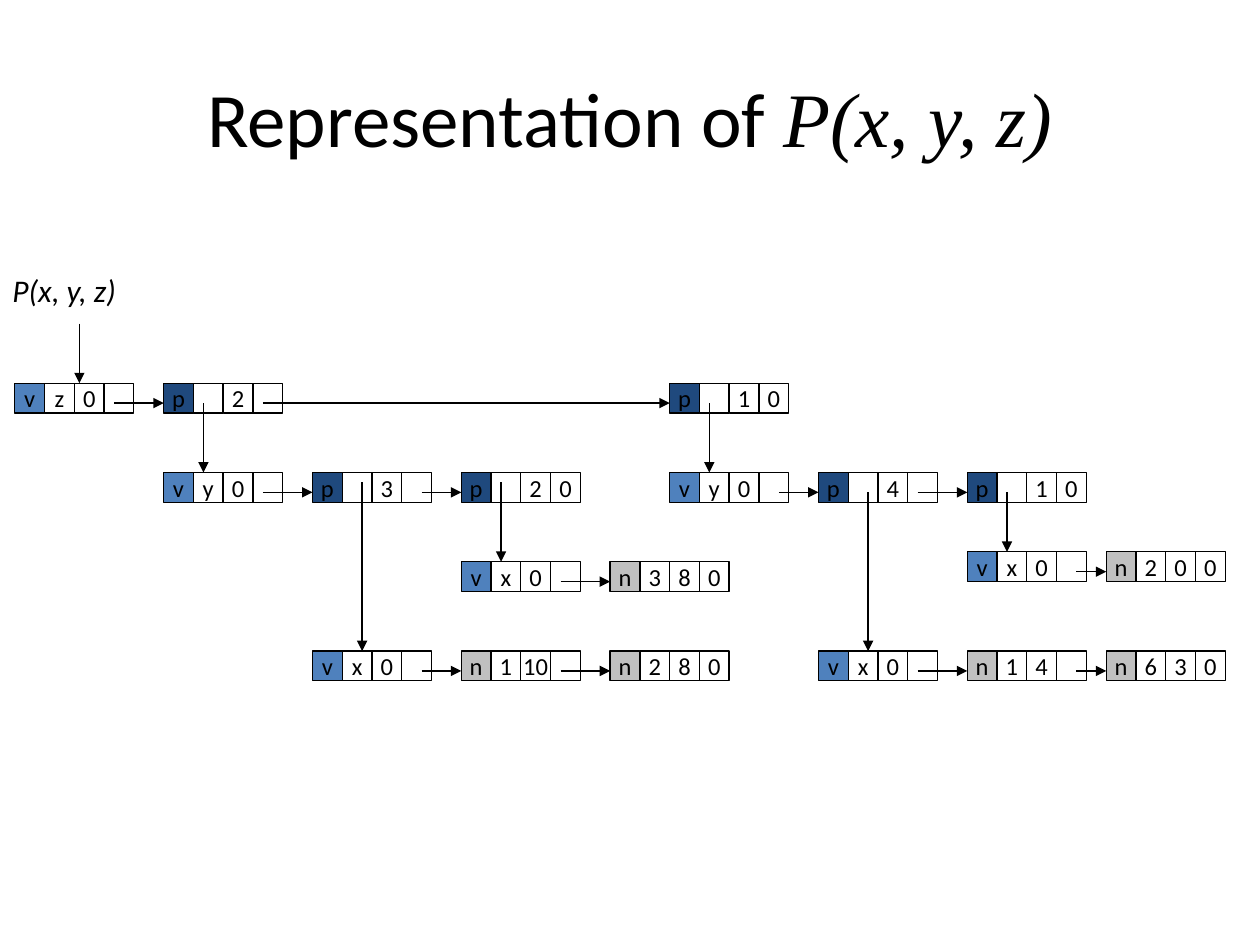
from lxml.etree import SubElement
from pptx import Presentation
from pptx.dml.color import RGBColor
from pptx.enum.shapes import MSO_CONNECTOR as Connector, MSO_SHAPE as Shape
from pptx.enum.text import MSO_ANCHOR as Anchor, PP_ALIGN as Align
from pptx.oxml.ns import qn
from pptx.util import Inches, Mm, Pt

BLACK = RGBColor(0x00, 0x00, 0x00)
BLUE = RGBColor(0x4F, 0x81, 0xBD)
NAVY = RGBColor(0x1F, 0x49, 0x7D)
SILVER = RGBColor(0xC0, 0xC0, 0xC0)
TAG_FILLS = {"v": BLUE, "p": NAVY, "n": SILVER}

STEP = 2
CELL = 3
LEFT, TOP = 3, 77.25


class Diagram:
    body_font = "Calibri"
    math_font = "Times New Roman"
    line_width = Pt(0.75)

    def __init__(self, deck):
        self.width, self.height = deck.slide_width, deck.slide_height
        self.page = deck.slides.add_slide(deck.slide_layouts[5])

    def point(self, column, row):
        return Mm(LEFT + column * STEP), Mm(TOP + row * STEP)

    def share(self, left, top, width, height):
        return (int(left * self.width), int(top * self.height),
                int(width * self.width), int(height * self.height))

    def style(self, font, size, italic=None):
        font.name = self.body_font
        font.size = Pt(size)
        font.italic = italic
        font.color.rgb = BLACK

    def title(self, words, formula):
        box = self.page.shapes.title
        box.left, box.top, box.width, box.height = self.share(0.05, 0.04, 0.9, 1 / 6)
        box.text_frame.vertical_anchor = Anchor.MIDDLE
        para = box.text_frame.paragraphs[0]
        para.alignment = Align.CENTER
        for text in (words, formula):
            span = para.add_run()
            span.text = text
            self.style(span.font, 44)
        span.font.name = self.math_font
        span.font.italic = True

    def label(self, text, *area):
        box = self.page.shapes.add_textbox(*self.share(*area))
        box.text_frame.word_wrap = True
        para = box.text_frame.paragraphs[0]
        para.text = text
        self.style(para.font, 18, italic=True)

    def cell(self, column, row, text, fill):
        side = Mm(CELL * STEP)
        box = self.page.shapes.add_shape(
            Shape.RECTANGLE, *self.point(column, row), side, side)
        box.shadow.inherit = False
        box.line.color.rgb = BLACK
        box.line.width = self.line_width
        if fill is None:
            box.fill.background()
        else:
            box.fill.solid()
            box.fill.fore_color.rgb = fill
        if text:
            frame = box.text_frame
            frame.word_wrap = False
            frame.vertical_anchor = Anchor.MIDDLE
            frame.margin_left = frame.margin_right = 0
            frame.margin_top = frame.margin_bottom = 0
            para = frame.paragraphs[0]
            para.text = text
            para.alignment = Align.CENTER
            self.style(para.font, 14)

    def node(self, column, row, *fields):
        for index, text in enumerate(fields):
            fill = TAG_FILLS[text] if index == 0 else None
            self.cell(column + index * CELL, row, text, fill)

    def arrow(self, start, end):
        link = self.page.shapes.add_connector(
            Connector.STRAIGHT, *self.point(*start), *self.point(*end))
        link.line.color.rgb = BLACK
        link.line.width = self.line_width
        SubElement(link.line._get_or_add_ln(), qn("a:tailEnd"), type="triangle")
        SubElement(link._element.spPr, qn("a:effectLst"))


NODES = [
    (0, 0, "v", "z", "0", ""),
    (15, 0, "p", "", "2", ""),
    (66, 0, "p", "", "1", "0"),
    (15, 9, "v", "y", "0", ""),
    (30, 9, "p", "", "3", ""),
    (45, 9, "p", "", "2", "0"),
    (66, 9, "v", "y", "0", ""),
    (81, 9, "p", "", "4", ""),
    (96, 9, "p", "", "1", "0"),
    (45, 18, "v", "x", "0", ""),
    (60, 18, "n", "3", "8", "0"),
    (96, 17, "v", "x", "0", ""),
    (110, 17, "n", "2", "0", "0"),
    (30, 27, "v", "x", "0", ""),
    (45, 27, "n", "1", "10", ""),
    (60, 27, "n", "2", "8", "0"),
    (81, 27, "v", "x", "0", ""),
    (96, 27, "n", "1", "4", ""),
    (110, 27, "n", "6", "3", "0"),
]
NEXT_LINKS = {
    2: [(10, 15), (25, 66)],
    11: [(25, 30), (41, 45), (77, 81), (91, 96)],
    19: [(107, 110)],
    20: [(55, 60)],
    29: [(41, 45), (55, 60), (91, 96), (107, 110)],
}
DOWN_LINKS = [
    (6.5, -6, 0), (19, 2, 9), (70, 2, 9), (35, 10, 27),
    (49, 10, 18), (86, 11, 27), (100, 11, 17),
]

deck = Presentation()
deck.slide_width, deck.slide_height = Inches(10), Inches(7.5)
diagram = Diagram(deck)
diagram.title("Representation of ", "P(x, y, z)")
for node in NODES:
    diagram.node(*node)
for row, spans in NEXT_LINKS.items():
    for start, end in spans:
        diagram.arrow((start, row), (end, row))
for column, start, end in DOWN_LINKS:
    diagram.arrow((column, start), (column, end))
diagram.label("P(x, y, z)", 0, 0.28, 0.15, 0.05)
deck.save("out.pptx")
